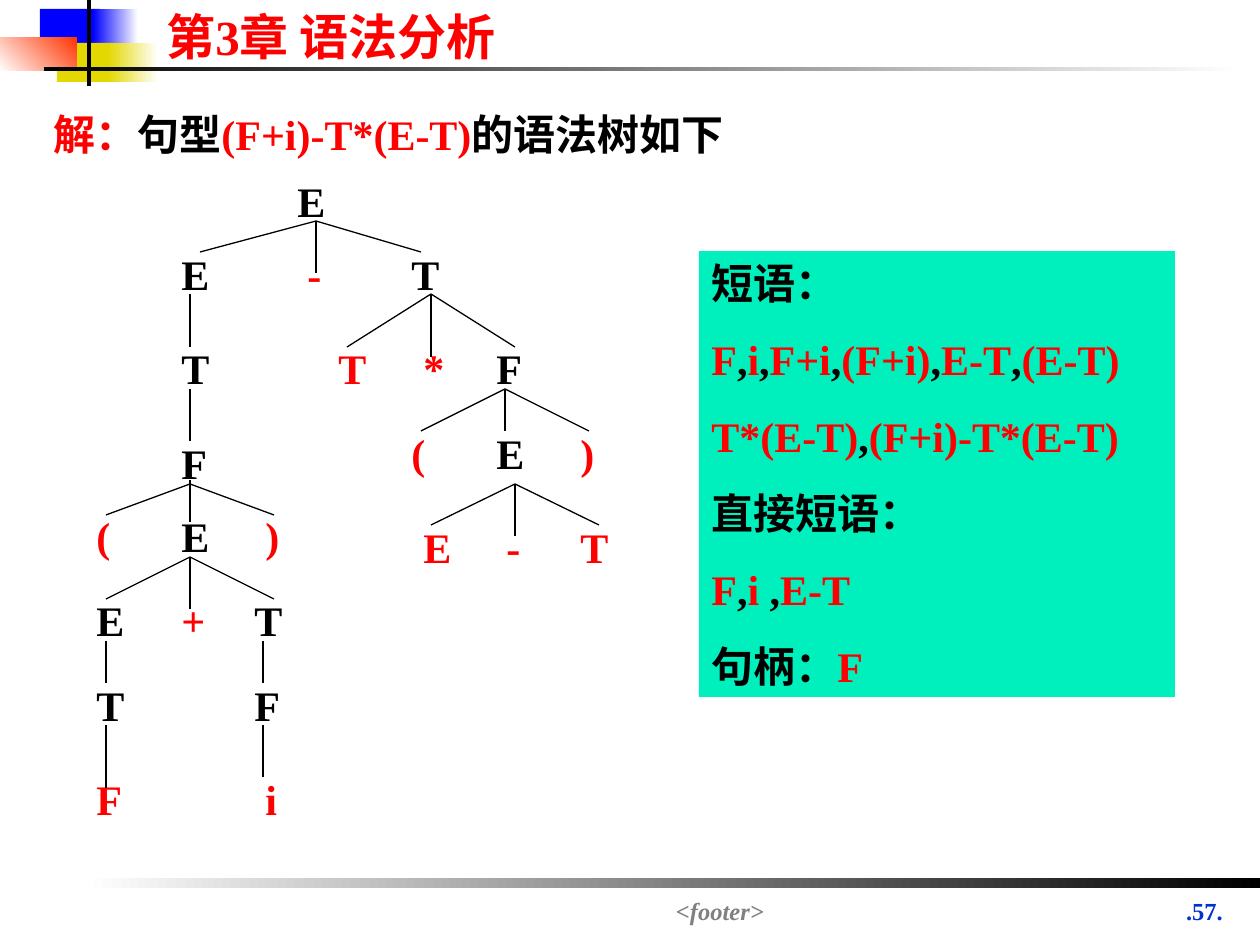
from lxml.etree import SubElement
from pptx import Presentation
from pptx.dml.color import RGBColor
from pptx.enum.shapes import MSO_CONNECTOR as Connector, MSO_SHAPE as Shape
from pptx.enum.text import MSO_ANCHOR as Anchor, PP_ALIGN as Align
from pptx.oxml.ns import qn
from pptx.util import Emu, Pt

EMU_PER_PX = 914400 / 126
BLACK = RGBColor(0x00, 0x00, 0x00)
WHITE = RGBColor(0xFF, 0xFF, 0xFF)
RED = RGBColor(0xFF, 0x00, 0x00)
BLUE = RGBColor(0x00, 0x00, 0xFF)
YELLOW = RGBColor(0xE3, 0xD8, 0x01)
ORANGE = RGBColor(0xFF, 0x33, 0x00)
MINT = RGBColor(0x00, 0xF0, 0xBD)
GRAY = RGBColor(0x80, 0x80, 0x80)
PAGE_BLUE = RGBColor(0x00, 0x33, 0xCC)


def px(*lengths):
    return [Emu(round(length * EMU_PER_PX)) for length in lengths]


def add_run(paragraph, text, font="Times New Roman", size=24, color=BLACK, italic=False):
    run = paragraph.add_run()
    run.text = text
    run.font.name = font
    run.font.size = Pt(size)
    run.font.bold = True
    run.font.italic = italic
    run.font.color.rgb = color


def phrase_runs(phrases):
    runs = []
    for phrase in phrases.split(","):
        runs += [(",", BLACK), (phrase, RED)]
    return runs[1:]


class SlideBuilder:
    line_width = Pt(0.75)
    paragraph_gap = Pt(15)

    def __init__(self, slide):
        self.slide = slide

    def rectangle(self, box, color, fade_to=None, angle=0):
        shape = self.slide.shapes.add_shape(Shape.RECTANGLE, *px(*box))
        shape.shadow.inherit = False
        shape.line.fill.background()
        if fade_to is None:
            shape.fill.solid()
            shape.fill.fore_color.rgb = color
        else:
            shape.fill.gradient()
            shape.fill.gradient_angle = angle
            for stop, stop_color in zip(shape.fill.gradient_stops, (color, fade_to)):
                stop.color.rgb = stop_color
        return shape

    def text(self, box, runs, align=Align.LEFT, wrap=True, **style):
        shape = self.slide.shapes.add_textbox(*px(*box))
        shape.text_frame.word_wrap = wrap
        paragraph = shape.text_frame.paragraphs[0]
        paragraph.alignment = align
        for text, color in runs:
            add_run(paragraph, text, color=color, **style)

    def panel(self, box, color, lines):
        shape = self.rectangle(box, color)
        frame = shape.text_frame
        frame.word_wrap = True
        frame.vertical_anchor = Anchor.TOP
        for index, runs in enumerate(lines):
            paragraph = frame.add_paragraph() if index else frame.paragraphs[0]
            paragraph.alignment = Align.LEFT
            if index:
                paragraph.space_before = self.paragraph_gap
            for text, run_color in runs:
                add_run(paragraph, text, color=run_color)

    def line(self, start, end):
        connector = self.slide.shapes.add_connector(
            Connector.STRAIGHT, *px(*start, *end))
        connector.line.color.rgb = BLACK
        connector.line.width = self.line_width
        SubElement(connector._element.spPr, qn("a:effectLst"))


NODE_ROWS = [
    (169, [(285, "E", BLACK)]),
    (242, [(169, "E", BLACK), (295, "-", RED), (399, "T", BLACK)]),
    (336, [(169, "T", BLACK), (326, "T", RED), (411, "*", RED), (484, "F", BLACK)]),
    (421, [(399, "(", RED), (484, "E", BLACK), (568, ")", RED)]),
    (431, [(169, "F", BLACK)]),
    (504, [(84, "(", RED), (169, "E", BLACK), (253, ")", RED)]),
    (515, [(411, "E", RED), (494, "-", RED), (568, "T", RED)]),
    (588, [(84, "E", BLACK), (169, "+", RED), (242, "T", BLACK)]),
    (673, [(84, "T", BLACK), (242, "F", BLACK)]),
    (767, [(84, "F", RED), (253, "i", RED)]),
]

BRANCHES = [
    ((316, 221), [(316, 273), (200, 252), (421, 252)]),
    ((190, 294), [(190, 347)]),
    ((190, 389), [(190, 441)]),
    ((190, 480), [(190, 522)]),
    ((190, 484), [(106, 515), (274, 515)]),
    ((190, 557), [(190, 609), (106, 599), (274, 599)]),
    ((106, 641), [(106, 683)]),
    ((106, 725), [(106, 788)]),
    ((263, 641), [(263, 683)]),
    ((263, 725), [(263, 777)]),
    ((431, 294), [(431, 357), (347, 347), (515, 347)]),
    ((505, 389), [(505, 431), (421, 431), (589, 431)]),
    ((515, 484), [(515, 536), (431, 525), (599, 525)]),
]

ANSWER_LINES = [
    [("短语：", BLACK)],
    phrase_runs("F,i,F+i,(F+i),E-T,(E-T)"),
    phrase_runs("T*(E-T),(F+i)-T*(E-T)"),
    [("直接短语：", BLACK)],
    phrase_runs("F,i ,E-T"),
    [("句柄：", BLACK), ("F", RED)],
]


def main():
    presentation = Presentation()
    presentation.slide_width, presentation.slide_height = px(1260, 945)
    builder = SlideBuilder(presentation.slides.add_slide(presentation.slide_layouts[6]))

    builder.rectangle((40, 9, 60, 39), BLUE)
    builder.rectangle((93, 9, 45, 39), BLUE, fade_to=WHITE)
    builder.rectangle((57, 43, 58, 39), YELLOW)
    builder.rectangle((108, 43, 50, 39), YELLOW, fade_to=WHITE)
    builder.rectangle((0, 37, 77, 34), ORANGE, fade_to=WHITE, angle=225)
    builder.rectangle((87, 0, 4, 86), BLACK)
    builder.rectangle((44, 67, 1198, 4), BLACK, fade_to=WHITE)
    builder.rectangle((84, 878, 1176, 10), WHITE, fade_to=BLACK)

    builder.text((1152, 890, 105, 72), [(".57.", PAGE_BLUE)], align=Align.CENTER, size=14)
    builder.text((253, 890, 934, 33), [("<footer>", GRAY)],
                 align=Align.CENTER, size=14, italic=True)
    builder.text((154, 0, 407, 72), [("第3章 语法分析", RED)], size=28)
    builder.text((41, 102, 838, 63), [
        ("解：", RED), ("句型", BLACK), ("(F+i)-T*(E-T)", RED), ("的语法树如下", BLACK)])

    for top, nodes in NODE_ROWS:
        for left, symbol, color in nodes:
            builder.text((left, top, 53, 63), [(symbol, color)])
    for apex, ends in BRANCHES:
        for end in ends:
            builder.line(apex, end)
    builder.panel((699, 251, 476, 446), MINT, ANSWER_LINES)

    presentation.save("out.pptx")


if __name__ == "__main__":
    main()
